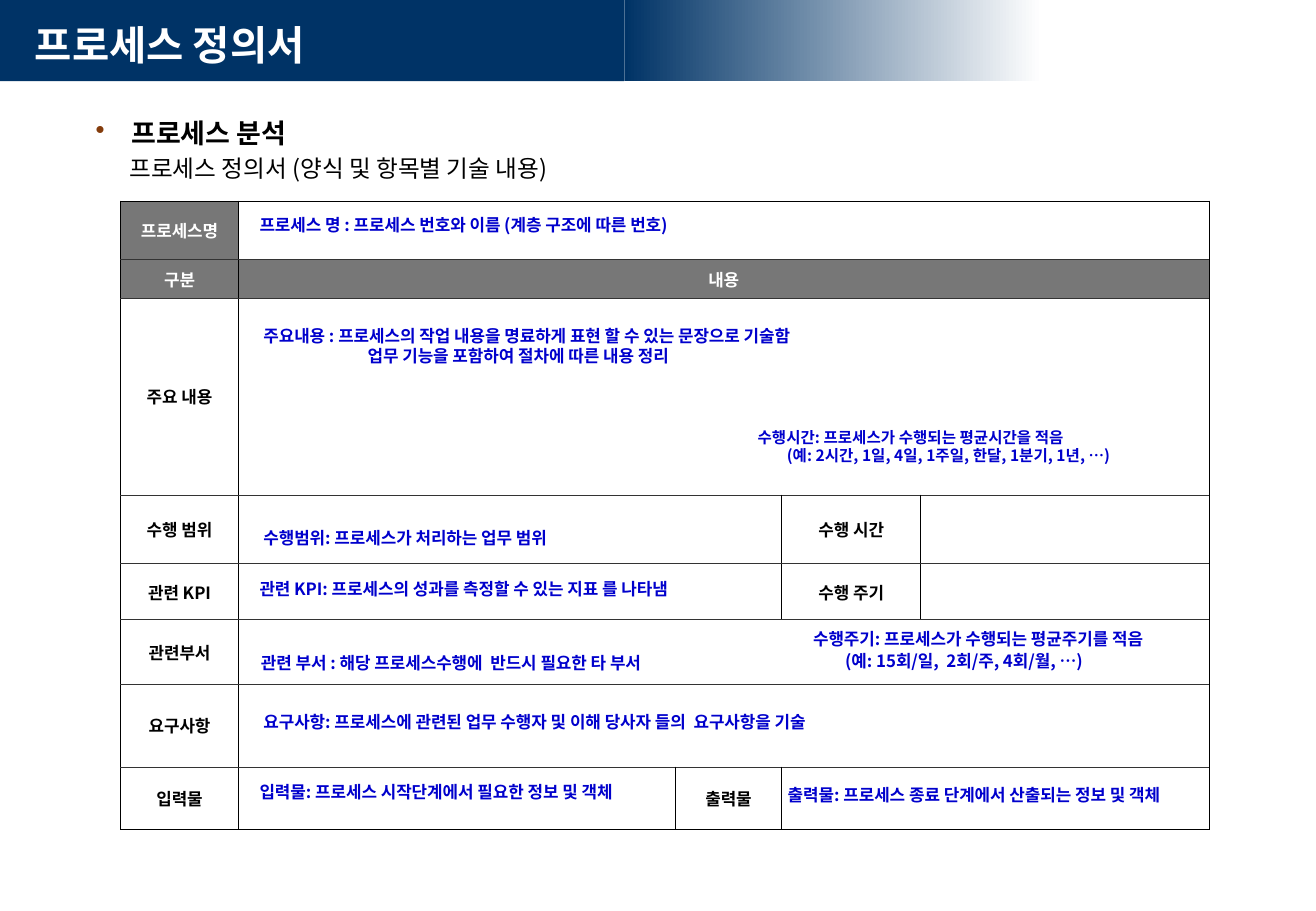
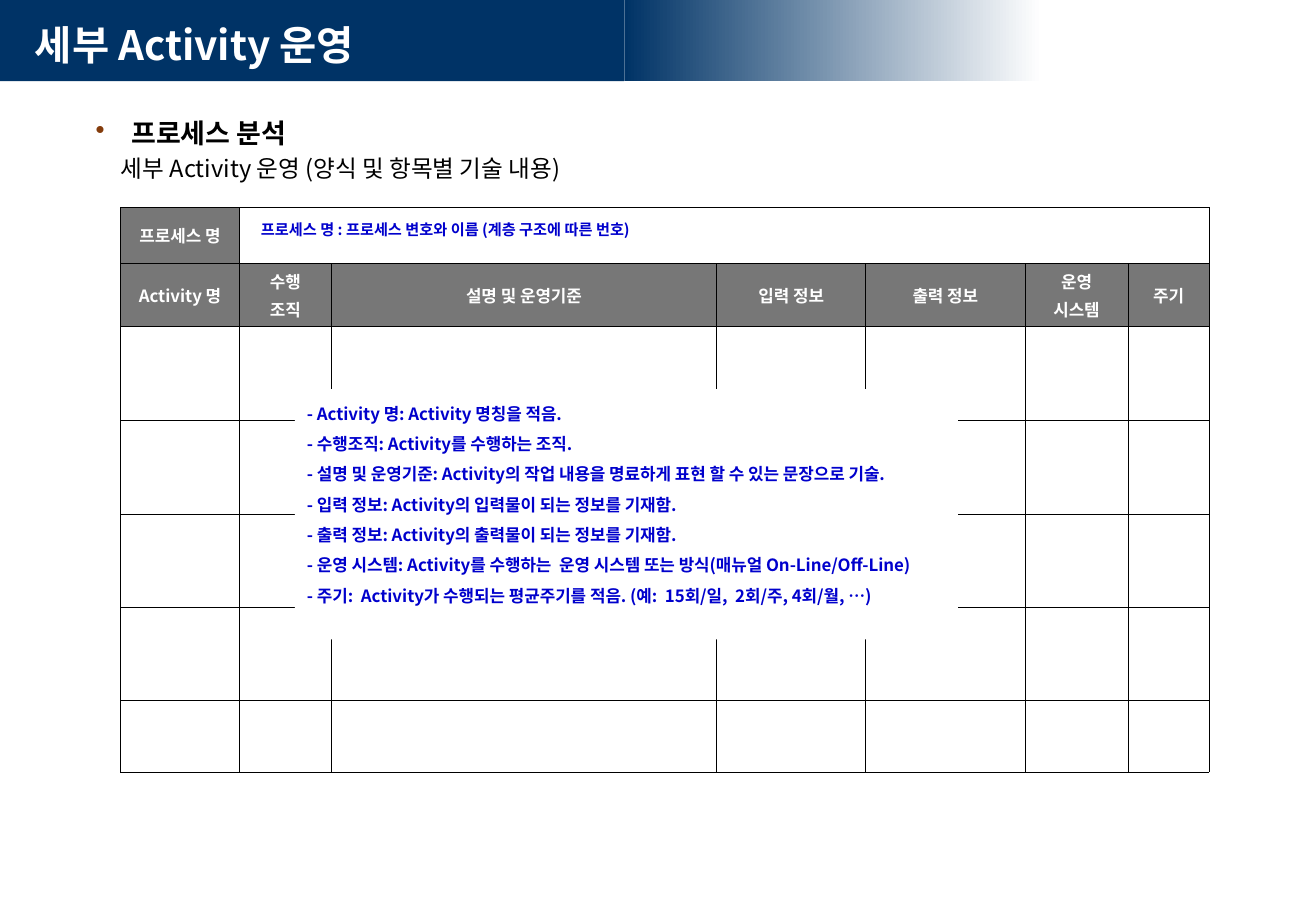
from lxml.etree import SubElement
from pptx import Presentation
from pptx.dml.color import RGBColor
from pptx.enum.shapes import MSO_SHAPE as Shape
from pptx.enum.text import MSO_ANCHOR as Anchor, PP_ALIGN as Align
from pptx.oxml.ns import qn
from pptx.util import Cm, Pt

COLORS = {
    "navy": "003366", "white": "FFFFFF", "black": "000000", "gray": "777777",
    "rule": "333333", "note": "0000CC", "bullet": "843C0C",
}
FONT = "Noto Sans CJK KR"
SLIDE_SIZE = (27.53, 19.05)
TABLE_LEFT = 2.52

# Content: spans are (row, first column, last column),
# notes are (left, top, width, size, line pitch, second line indent, lines)
DEFINITION = {
    "title": "프로세스 정의서",
    "subtitle": "프로세스 정의서 (양식 및 항목별 기술 내용)",
    "subtitle_indent": 0.71,
    "top": 4.2,
    "inner_rule": "rule",
    "columns": [2.47, 9.14, 2.22, 2.91, 6.03],
    "rows": [1.23, 0.8, 4.12, 1.44, 1.17, 1.34, 1.74, 1.3],
    "spans": [(0, 1, 4), (1, 1, 4), (2, 1, 4), (3, 1, 2), (4, 1, 2),
              (5, 1, 4), (6, 1, 4), (7, 3, 4)],
    "header_cells": {(0, 0): "프로세스명", (1, 0): "구분", (1, 1): "내용"},
    "label_cells": {
        (2, 0): "주요 내용", (3, 0): "수행 범위", (3, 3): "수행 시간",
        (4, 0): "관련 KPI", (4, 3): "수행 주기", (5, 0): "관련부서",
        (6, 0): "요구사항", (7, 0): "입력물", (7, 2): "출력물",
    },
    "notes": [
        (5.18, 4.37, 14, 10, 12, 0, ["프로세스 명 : 프로세스 번호와 이름 (계층 구조에 따른 번호)"]),
        (5.18, 11.97, 13, 10, 12, 0, ["관련 KPI: 프로세스의 성과를 측정할 수 있는 지표 를 나타냄"]),
        (16.76, 12.97, 8.8, 10, 13.2, 0.67, ["수행주기: 프로세스가 수행되는 평균주기를 적음",
                                             "(예: 15회/일,  2회/주, 4회/월, …)"]),
        (5.26, 10.92, 10, 10, 12, 0, ["수행범위: 프로세스가 처리하는 업무 범위"]),
        (5.26, 6.69, 15, 10, 12, 2.18, ["주요내용 : 프로세스의 작업 내용을 명료하게 표현 할 수 있는 문장으로 기술함",
                                        "업무 기능을 포함하여 절차에 따른 내용 정리"]),
        (15.6, 8.83, 9.6, 9.2, 10.8, 0.61, ["수행시간: 프로세스가 수행되는 평균시간을 적음",
                                            "(예: 2시간, 1일, 4일, 1주일, 한달, 1분기, 1년, …)"]),
        (5.26, 14.76, 15.3, 10, 12, 0, ["요구사항: 프로세스에 관련된 업무 수행자 및 이해 당사자 들의  요구사항을 기술"]),
        (5.18, 16.22, 9.2, 10, 12, 0, ["입력물: 프로세스 시작단계에서 필요한 정보 및 객체"]),
        (16.23, 16.29, 9.4, 10, 12, 0, ["출력물: 프로세스 종료 단계에서 산출되는 정보 및 객체"]),
        (5.21, 13.53, 13.7, 10, 12, 0, ["관련 부서 : 해당 프로세스수행에  반드시 필요한 타 부서"]),
    ],
}
ACTIVITY = {
    "title": "세부 Activity 운영",
    "subtitle": "세부 Activity 운영 (양식 및 항목별 기술 내용)",
    "subtitle_indent": 0.53,
    "top": 4.34,
    "inner_rule": "black",
    "columns": [2.49, 1.92, 8.06, 3.12, 3.33, 2.16, 1.69],
    "rows": [1.17, 1.32, 1.95, 1.97, 1.95, 1.95, 1.49],
    "spans": [(0, 1, 6)],
    "header_cells": {
        (0, 0): "프로세스 명", (1, 0): "Activity 명", (1, 1): "수행\n조직",
        (1, 2): "설명 및 운영기준", (1, 3): "입력 정보", (1, 4): "출력 정보",
        (1, 5): "운영\n시스템", (1, 6): "주기",
    },
    "label_cells": {},
    "notes": [
        (5.21, 4.45, 12, 9, 12, 0, ["프로세스 명 : 프로세스 변호와 이름 (계층 구조에 따른 번호)"]),
    ],
}
HEADING = "프로세스 분석"
GUIDE = [
    "- Activity 명: Activity 명칭을 적음.",
    "- 수행조직: Activity를 수행하는 조직.",
    "- 설명 및 운영기준: Activity의 작업 내용을 명료하게 표현 할 수 있는 문장으로 기술.",
    "- 입력 정보: Activity의 입력물이 되는 정보를 기재함.",
    "- 출력 정보: Activity의 출력물이 되는 정보를 기재함.",
    "- 운영 시스템: Activity를 수행하는  운영 시스템 또는 방식(매뉴얼 On-Line/Off-Line)",
    "- 주기:  Activity가 수행되는 평균주기를 적음. (예:  15회/일,  2회/주, 4회/월, …)",
]


def rgb(color):
    return RGBColor.from_string(COLORS[color])


def add_line(frame, text, size, color, bold=True, pitch=None, indent=0, align=Align.LEFT):
    """Write text into the empty first paragraph, or into a new one."""
    line = frame.paragraphs[0]
    if line.runs:
        line = frame.add_paragraph()
    line.alignment = align
    if pitch:
        line.line_spacing = Pt(pitch)
    if indent:
        line._p.get_or_add_pPr().set("marL", str(Cm(indent)))
    run = line.add_run()
    run.text = text
    run.font.size = Pt(size)
    run.font.bold = bold
    run.font.color.rgb = rgb(color)
    run.font.name = FONT
    SubElement(run._r.get_or_add_rPr(), qn("a:ea"), typeface=FONT)
    return line


def add_text(slide, left, top, width, height):
    frame = slide.shapes.add_textbox(Cm(left), Cm(top), Cm(width), Cm(height)).text_frame
    frame.word_wrap = True
    return frame


def add_block(slide, left, top, width, height):
    block = slide.shapes.add_shape(Shape.RECTANGLE, Cm(left), Cm(top), Cm(width), Cm(height))
    block.shadow.inherit = False
    block.line.fill.background()
    return block


def add_frame(slide, content):
    # Title band
    fade = add_block(slide, 13.06, 0, 8.74, 1.7).fill
    fade.gradient()
    fade.gradient_angle = 0
    for stop, position, color in zip(fade.gradient_stops, (0, 1), ("navy", "white")):
        stop.position = position
        stop.color.rgb = rgb(color)
    band = add_block(slide, 0, 0, 13.06, 1.7).fill
    band.solid()
    band.fore_color.rgb = rgb("navy")
    title = add_text(slide, 0.48, 0.3, 26, 1.27)
    title.vertical_anchor = Anchor.MIDDLE
    add_line(title, content["title"], 24, "white")

    # Heading and subtitle
    intro = add_text(slide, 1.75, 2.18, 23, 1.78)
    heading = add_line(intro, HEADING, 16, "black", pitch=23, indent=0.75)
    props = heading._p.get_or_add_pPr()
    props.set("indent", str(-Cm(0.75)))
    bullet_color = SubElement(props, qn("a:buClr"))
    SubElement(bullet_color, qn("a:srgbClr"), val=COLORS["bullet"])
    SubElement(props, qn("a:buChar"), char="•")
    add_line(intro, content["subtitle"], 14, "black", bold=False, pitch=20,
             indent=content["subtitle_indent"])


def add_borders(cell, sides):
    props = cell._tc.get_or_add_tcPr()
    for side, color in sides.items():
        border = SubElement(props, qn("a:ln" + side), w=str(Pt(0.45)))
        fill = SubElement(border, qn("a:solidFill"))
        SubElement(fill, qn("a:srgbClr"), val=COLORS[color])


def add_form(slide, content):
    columns, rows = content["columns"], content["rows"]
    form = slide.shapes.add_table(len(rows), len(columns), Cm(TABLE_LEFT), Cm(content["top"]),
                                  Cm(sum(columns)), Cm(sum(rows))).table
    for column, width in zip(form.columns, columns):
        column.width = Cm(width)
    for row, height in zip(form.rows, rows):
        row.height = Cm(height)
    for row, first, last in content["spans"]:
        form.cell(row, first).merge(form.cell(row, last))

    headers, labels = content["header_cells"], content["label_cells"]
    inner = content["inner_rule"]
    for r in range(len(rows)):
        for c in range(len(columns)):
            cell = form.cell(r, c)
            add_borders(cell, {
                "L": "black", "R": "black",
                "T": inner if r else "black",
                "B": inner if r < len(rows) - 1 else "black",
            })
            is_header = (r, c) in headers
            cell.fill.solid()
            cell.fill.fore_color.rgb = rgb("gray" if is_header else "white")
            cell.vertical_anchor = Anchor.MIDDLE
            cell.margin_top = cell.margin_bottom = Cm(0.05)
            text = headers.get((r, c)) or labels.get((r, c))
            for i, part in enumerate(text.split("\n") if text else []):
                line = add_line(cell.text_frame, part, 10,
                                "white" if is_header else "black", align=Align.CENTER)
                if i:
                    line.space_before = Pt(2.5)


def add_notes(slide, notes):
    for left, top, width, size, pitch, indent, lines in notes:
        note = add_text(slide, left, top, width, 0.4 + 0.45 * len(lines))
        for i, text in enumerate(lines):
            add_line(note, text, size, "note", pitch=pitch, indent=indent if i else 0)


def add_guide(slide):
    guide = add_block(slide, 6.17, 8.14, 13.87, 5.23)
    guide.fill.solid()
    guide.fill.fore_color.rgb = rgb("white")
    frame = guide.text_frame
    frame.word_wrap = True
    frame.vertical_anchor = Anchor.TOP
    frame.margin_top = Cm(0.08)
    for text in GUIDE:
        add_line(frame, text, 10, "note", pitch=18)


def main():
    deck = Presentation()
    deck.slide_width, deck.slide_height = map(Cm, SLIDE_SIZE)
    for content in (DEFINITION, ACTIVITY):
        slide = deck.slides.add_slide(deck.slide_layouts[6])
        add_frame(slide, content)
        add_form(slide, content)
        add_notes(slide, content["notes"])
    add_guide(slide)
    deck.save("out.pptx")


if __name__ == "__main__":
    main()
